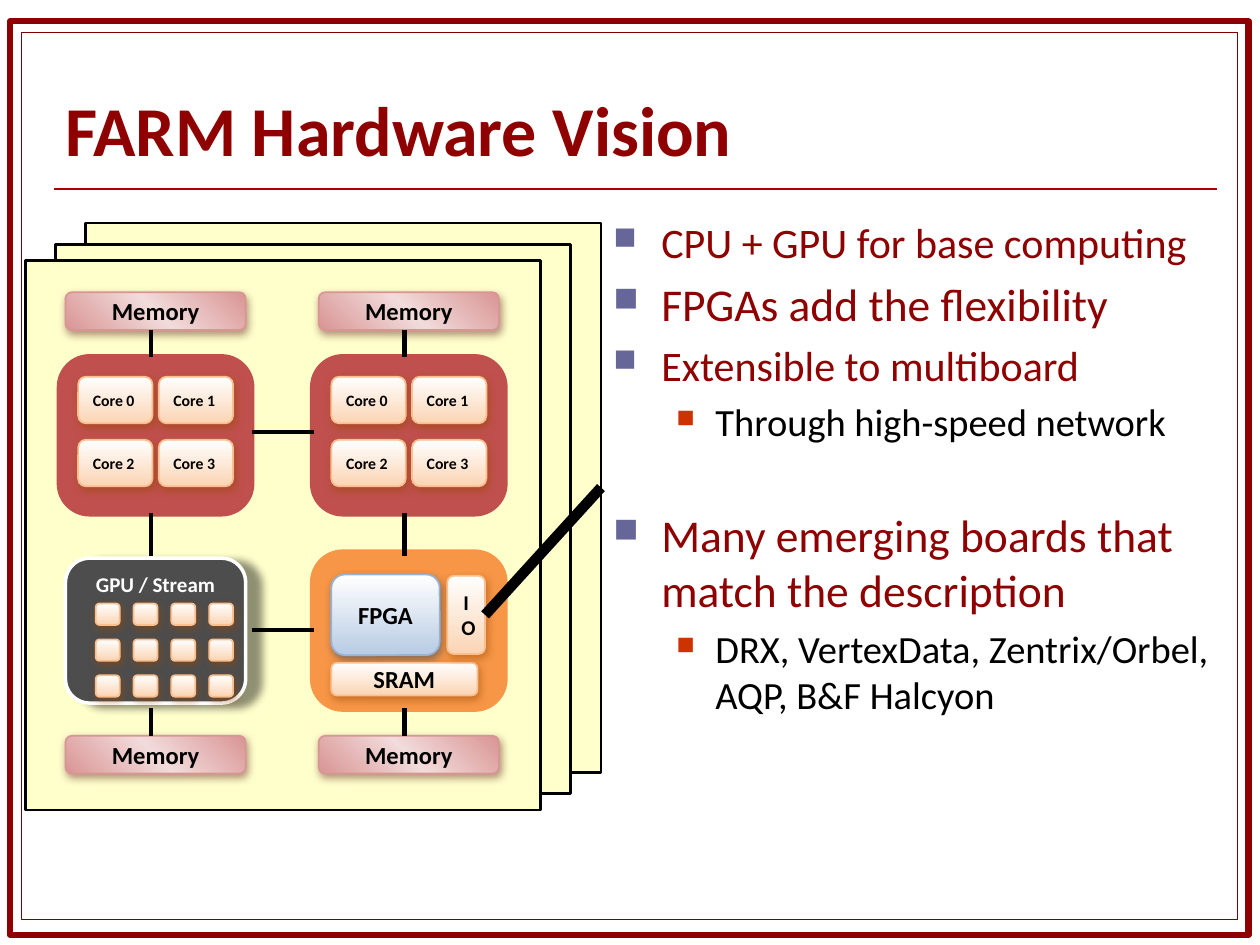
from lxml import etree
from pptx import Presentation
from pptx.dml.color import RGBColor
from pptx.enum.shapes import MSO_CONNECTOR, MSO_SHAPE
from pptx.enum.text import MSO_ANCHOR, PP_ALIGN
from pptx.oxml.ns import qn
from pptx.util import Inches, Pt

RECTANGLE, ROUNDED = MSO_SHAPE.RECTANGLE, MSO_SHAPE.ROUNDED_RECTANGLE
STRAIGHT = MSO_CONNECTOR.STRAIGHT
LEFT, CENTER = PP_ALIGN.LEFT, PP_ALIGN.CENTER
TOP, MIDDLE, BOTTOM = MSO_ANCHOR.TOP, MSO_ANCHOR.MIDDLE, MSO_ANCHOR.BOTTOM

FONT = "Calibri"
BLACK = RGBColor(0x00, 0x00, 0x00)
WHITE = RGBColor(0xFF, 0xFF, 0xFF)
DARK_RED = RGBColor(0x8F, 0x00, 0x00)
INNER_RED = RGBColor(0x82, 0x00, 0x00)
RULE_RED = RGBColor(0xAC, 0x00, 0x00)
SHEET_YELLOW = RGBColor(0xFF, 0xFF, 0xCC)
CPU_RED = RGBColor(0xC0, 0x50, 0x4D)
GPU_GRAY = RGBColor(0x4D, 0x4D, 0x4D)
FPGA_ORANGE = RGBColor(0xF7, 0x96, 0x46)
PINK = RGBColor(0xD9, 0x95, 0x94)
PALE_PINK = RGBColor(0xF2, 0xDB, 0xDB)
PINK_SHADOW = RGBColor(0x62, 0x24, 0x23)
PEACH = RGBColor(0xFB, 0xD4, 0xB4)
PEACH_LINE = RGBColor(0xFA, 0xBF, 0x8F)
PEACH_SHADOW = RGBColor(0x97, 0x47, 0x06)
BLUE = RGBColor(0xB8, 0xCC, 0xE4)
BLUE_LINE = RGBColor(0x95, 0xB3, 0xD7)
BLUE_SHADOW = RGBColor(0x24, 0x3F, 0x60)
BULLET_BLUE = RGBColor(0x66, 0x66, 0x99)
BULLET_RED = RGBColor(0xCC, 0x33, 0x00)

# Formats: gradient stops, line colour, gradient angle, shadow
# A shadow is colour, opacity %, blur pt, distance pt, direction in degrees
MEMORY = dict(fill=[PINK, PALE_PINK, PINK], line=PINK, angle=225,
              shadow=(PINK_SHADOW, 50, 5, 2.2, 64))
CORE = dict(fill=[WHITE, PEACH], line=PEACH_LINE,
            shadow=(PEACH_SHADOW, 50, 5, 2.2, 64))
LOGIC = dict(fill=[WHITE, BLUE], line=BLUE_LINE,
             shadow=(BLUE_SHADOW, 50, 5, 2.2, 64))


def write(shape, text, size, color=BLACK, bold=True, align=CENTER, anchor=MIDDLE,
          before=0, spacing=None, bullet=None, margin=0, hanging=0):
    """Add a paragraph; bullet is a (colour, size %) pair."""
    frame = shape.text_frame
    frame.word_wrap = True
    frame.vertical_anchor = anchor
    paragraph = frame.paragraphs[0]
    if paragraph.runs:
        paragraph = frame.add_paragraph()
    paragraph.alignment = align
    paragraph.space_before = Pt(before)
    if spacing:
        paragraph.line_spacing = spacing
    run = paragraph.add_run()
    run.text = text
    run.font.name, run.font.size, run.font.bold = FONT, Pt(size), bold
    run.font.color.rgb = color
    if bullet:
        properties = paragraph._p.get_or_add_pPr()
        properties.set("marL", str(Inches(margin)))
        properties.set("indent", str(-Inches(hanging)))
        bullet_color = etree.SubElement(properties, qn("a:buClr"))
        etree.SubElement(bullet_color, qn("a:srgbClr"), val=str(bullet[0]))
        etree.SubElement(properties, qn("a:buSzPct"), val=str(bullet[1] * 1000))
        etree.SubElement(properties, qn("a:buChar"), char="■")


def add_box(left, top, width, height, fill, line, weight=1, kind=ROUNDED,
            angle=270, shadow=None):
    """Add a box; a list as fill gives evenly spaced gradient stops."""
    shape = slide.shapes.add_shape(kind, Inches(left), Inches(top),
                                   Inches(width), Inches(height))
    if isinstance(fill, list):
        shape.fill.gradient()
        shape.fill.gradient_angle = angle
        stops = shape._element.spPr.find(".//" + qn("a:gsLst"))
        for stop in list(stops):
            stops.remove(stop)
        for index, color in enumerate(fill):
            position = 100000 * index // (len(fill) - 1)
            stop = etree.SubElement(stops, qn("a:gs"), pos=str(position))
            etree.SubElement(stop, qn("a:srgbClr"), val=str(color))
    else:
        shape.fill.solid()
        shape.fill.fore_color.rgb = fill
    shape.line.color.rgb = line
    shape.line.width = Pt(weight)
    shape.shadow.inherit = False
    if shadow:
        color, opacity, blur, distance, direction = shadow
        effects = shape._element.spPr.find(qn("a:effectLst"))
        outer = etree.SubElement(
            effects, qn("a:outerShdw"), blurRad=str(Pt(blur)), dist=str(Pt(distance)),
            dir=str(direction * 60000), algn="ctr", rotWithShape="0")
        tone = etree.SubElement(outer, qn("a:srgbClr"), val=str(color))
        etree.SubElement(tone, qn("a:alpha"), val=str(opacity * 1000))
    return shape


presentation = Presentation()
presentation.slide_width, presentation.slide_height = Inches(10), Inches(7.5)
slide = presentation.slides.add_slide(presentation.slide_layouts[6])

# Double frame
add_box(0.08, 0.17, 9.83, 7.25, WHITE, DARK_RED, 3.5, RECTANGLE)
add_box(0.17, 0.26, 9.65, 7.04, WHITE, INNER_RED, 0.75, RECTANGLE)

# Title
title = slide.shapes.add_textbox(Inches(0.42), Inches(0.42), Inches(8.5), Inches(0.98))
write(title, "FARM Hardware Vision", 40, DARK_RED, align=LEFT, anchor=BOTTOM, spacing=0.8)

# Bullet list: text, level, size, space before
body = slide.shapes.add_textbox(Inches(4.77), Inches(1.67), Inches(4.96), Inches(5.5))
levels = [
    dict(color=DARK_RED, bullet=(BULLET_BLUE, 75), margin=0.38, hanging=0.38),
    dict(color=BLACK, bullet=(BULLET_RED, 65), margin=0.81, hanging=0.31),
]
for text, level, size, before in [
    ("CPU + GPU for base computing", 0, 24, 5),
    ("FPGAs add the flexibility", 0, 26, 5),
    ("Extensible to multiboard", 0, 24, 5),
    ("Through high-speed network", 1, 22, 5),
    ("Many emerging boards that match the description", 0, 26, 36),
    ("DRX, VertexData, Zentrix/Orbel, AQP, B&F Halcyon", 1, 22, 5),
]:
    write(body, text, size, bold=False, align=LEFT, anchor=TOP, before=before,
          **levels[level])

# Stacked boards
for left, top in [(0.68, 1.77), (0.44, 1.94), (0.2, 2.07)]:
    add_box(left, top, 4.09, 4.36, SHEET_YELLOW, BLACK, 1.5, RECTANGLE)

# Processor blocks: two CPUs above the GPU and the FPGA
columns = [0.52, 2.53]
for left in columns:
    add_box(left, 2.88, 1.43, 1.15, CPU_RED, CPU_RED, 10)
gpu = add_box(columns[0], 4.43, 1.43, 1.15, GPU_GRAY, WHITE, 2,
              shadow=(BLACK, 44, 5, 8.7, 13))
add_box(columns[1], 4.43, 1.43, 1.15, FPGA_ORANGE, FPGA_ORANGE, 10)

# Memories and CPU cores
for left in columns:
    for top in (2.32, 5.84):
        write(add_box(left, top, 1.43, 0.3, **MEMORY), "Memory", 14)
    for core in range(4):
        row, column = divmod(core, 2)
        box = add_box(left + 0.1 + 0.64 * column, 2.99 + 0.5 * row, 0.59, 0.37, **CORE)
        write(box, f"Core {core}", 9, align=LEFT)

# GPU label and its stream units
write(gpu, "GPU / Stream", 12, WHITE, anchor=TOP)
for row in range(3):
    for column in range(4):
        add_box(0.76 + 0.3 * column, 4.79 + 0.285 * row, 0.19, 0.17, **CORE)

# FPGA parts
write(add_box(2.63, 4.56, 0.86, 0.64, **LOGIC), "FPGA", 14)
write(add_box(2.63, 5.26, 1.16, 0.26, **CORE), "SRAM", 14)
io_port = add_box(3.55, 4.57, 0.3, 0.62, **CORE)
write(io_port, "IO", 12)

# Title rule, links between blocks, and the network link from the IO port
links = [(2, y, 2.49, y, BLACK, 2.5) for y in (3.43, 5)]
for x in (1.2, 3.21):
    for start, end in [(2.62, 2.83), (4.07, 4.41), (5.62, 5.84)]:
        links.append((x, start, x, end, BLACK, 2.5))
rule = (0.43, 1.5, 9.66, 1.5, RULE_RED, 1.5)
network = (3.85, 4.88, 4.77, 3.87, BLACK, 6)
for x1, y1, x2, y2, color, weight in [rule, *links, network]:
    connector = slide.shapes.add_connector(STRAIGHT, Inches(x1), Inches(y1),
                                           Inches(x2), Inches(y2))
    connector.line.color.rgb = color
    connector.line.width = Pt(weight)
    etree.SubElement(connector._element.spPr, qn("a:effectLst"))
connector.begin_connect(io_port, 3)

presentation.save("out.pptx")
